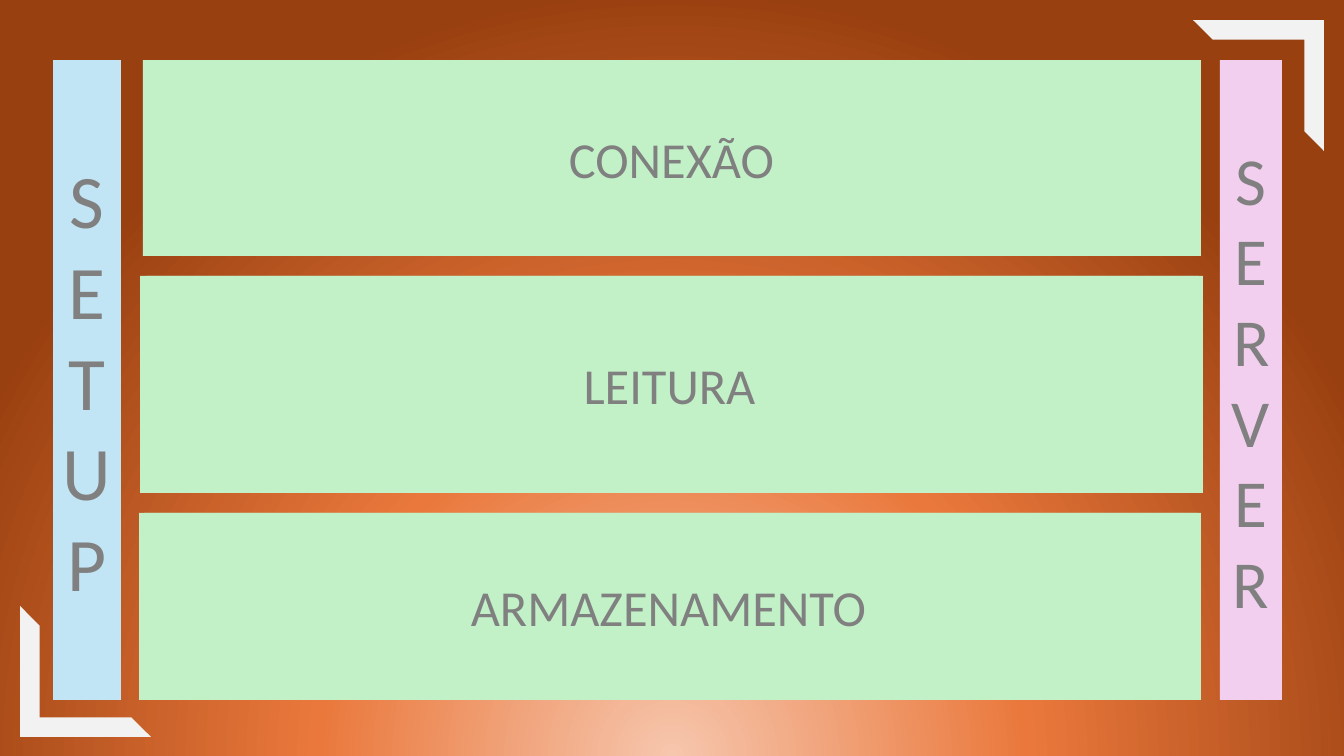
from pptx import Presentation
from pptx.dml.color import RGBColor
from pptx.enum.shapes import MSO_SHAPE as Shape
from pptx.enum.text import MSO_ANCHOR as Anchor, PP_ALIGN as Align
from pptx.oxml import parse_xml
from pptx.oxml.ns import nsdecls
from pptx.util import Pt

GREEN = RGBColor(0xC2, 0xF1, 0xC8)
BLUE = RGBColor(0xC1, 0xE5, 0xF5)
PINK = RGBColor(0xF2, 0xCF, 0xEE)
GREY = RGBColor(0x80, 0x80, 0x80)
PALE = RGBColor(0xF2, 0xF2, 0xF2)
GLOW = [(0, RGBColor(0xF6, 0xC6, 0xAD)),
        (46, RGBColor(0xEA, 0x78, 0x3C)),
        (100, RGBColor(0x99, 0x40, 0x10))]

STAGES = [
    ("CONEXÃO", 196, 143, 1057, 144),
    ("LEITURA", 217, 140, 1059, 146),
    ("ARMAZENAMENTO", 187, 139, 1059, 144),
]
PILLARS = [
    ("SETUP", 53, 68, BLUE, 54, "horz"),
    ("SERVER", 1220, 62, PINK, 48, "wordArtVert"),
]
CORNERS = [(1193, 20, 90), (20, 606, 270)]

TOP, GAP, BACKING_WIDTH, CORNER = 60, 20, 1057, 131
PX = 914400 / 100.8


def px(length):
    return round(length * PX)


prs = Presentation()
prs.slide_width, prs.slide_height = px(1344), px(756)
slide = prs.slides.add_slide(prs.slide_layouts[6])


def add_block(left, top, width, height, fill, kind=Shape.RECTANGLE):
    block = slide.shapes.add_shape(kind, px(left), px(top), px(width), px(height))
    block.shadow.inherit = False
    block.fill.solid()
    block.fill.fore_color.rgb = fill
    block.line.fill.background()
    return block


def write(block, text, size=36, color=GREY, font="Calibri", direction="horz"):
    frame = block.text_frame
    frame.word_wrap = True
    frame.vertical_anchor = Anchor.MIDDLE
    frame._txBody.bodyPr.set("vert", direction)
    paragraph = frame.paragraphs[0]
    paragraph.alignment = Align.CENTER
    run = paragraph.add_run()
    run.text = text
    run.font.size = Pt(size)
    run.font.name = font
    run.font.color.rgb = color


def paint_background():
    stops = "".join(
        f'<a:gs pos="{share * 1000}"><a:srgbClr val="{color}"/></a:gs>'
        for share, color in GLOW)
    slide.element.cSld.insert(0, parse_xml(
        f'<p:bg {nsdecls("p", "a")}><p:bgPr><a:gradFill rotWithShape="1">'
        f'<a:gsLst>{stops}</a:gsLst><a:path path="circle">'
        '<a:fillToRect l="50000" t="130000" r="50000" b="-30000"/></a:path>'
        '</a:gradFill><a:effectLst/></p:bgPr></p:bg>'))


paint_background()

stage_top = TOP
for name, height, left, width, backing_left in STAGES:
    add_block(backing_left, stage_top, BACKING_WIDTH, height, GREEN)
    write(add_block(left, stage_top, width, height, GREEN), name)
    stage_top += height + GAP

pillar_height = stage_top - GAP - TOP
for name, left, width, fill, size, direction in PILLARS:
    pillar = add_block(left, TOP, width, pillar_height, fill)
    write(pillar, name, size=size, direction=direction)

for left, top, turn in CORNERS:
    corner = add_block(left, top, CORNER, CORNER, PALE, Shape.HALF_FRAME)
    corner.rotation = turn
    corner.adjustments[0] = corner.adjustments[1] = 0.15

prs.save("out.pptx")
